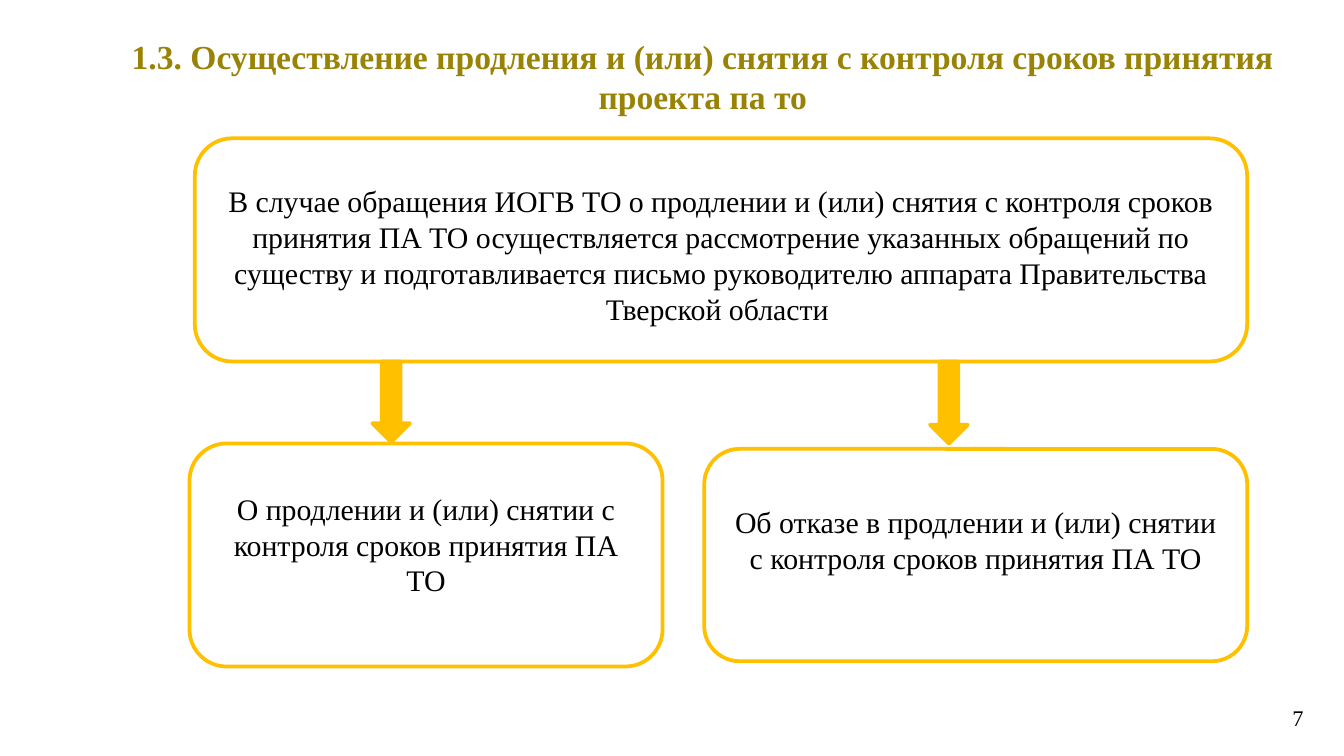
from pptx import Presentation
from pptx.dml.color import RGBColor
from pptx.enum.shapes import MSO_SHAPE
from pptx.enum.text import MSO_ANCHOR, PP_ALIGN
from pptx.util import Inches, Pt

ROUNDED = MSO_SHAPE.ROUNDED_RECTANGLE
DOWN_ARROW = MSO_SHAPE.DOWN_ARROW
CENTER, RIGHT = PP_ALIGN.CENTER, PP_ALIGN.RIGHT
MIDDLE, TOP = MSO_ANCHOR.MIDDLE, MSO_ANCHOR.TOP

COLORS = {"heading": "998307", "body": "000000", "accent": "FFC000"}
FONT = "Times New Roman"
SLIDE_WIDTH = Inches(10)
SLIDE_HEIGHT = SLIDE_WIDTH * 9 // 16
COLUMN, ROW = SLIDE_WIDTH / 100, SLIDE_HEIGHT / 56.25

REQUEST = (
    "В случае обращения ИОГВ ТО о продлении и (или) снятия с контроля сроков "
    "принятия ПА ТО осуществляется рассмотрение указанных обращений по существу "
    "и подготавливается письмо руководителю аппарата Правительства Тверской области "
)
EXTENSION = "О продлении и (или) снятии с контроля сроков принятия ПА ТО"
REFUSAL = "Об отказе в продлении и (или) снятии с контроля сроков принятия ПА ТО"
RIGHT_EDGE = 92.8
REQUEST_LEFT, REQUEST_TOP, BOX_HEIGHT = 14.5, 10.3, 16.6
REQUEST_BOTTOM = REQUEST_TOP + BOX_HEIGHT
REFUSAL_LEFT = 52.4


def place(column, row, columns, rows):
    """Turn a grid area into left, top, width and height."""
    return (round(column * COLUMN), round(row * ROW),
            round(columns * COLUMN), round(rows * ROW))


def write(frame, words, size, color, align=CENTER, anchor=MIDDLE, bold=False,
          lift=0, side=0.7):
    """Fill a text frame; lift raises the middle of the text by that many rows."""
    frame.word_wrap = True
    frame.vertical_anchor = anchor
    frame.margin_left = frame.margin_right = round(side * COLUMN)
    frame.margin_top = Inches(0.04) + round(max(-2 * lift, 0) * ROW)
    frame.margin_bottom = Inches(0.04) + round(max(2 * lift, 0) * ROW)
    frame.text = words
    paragraph = frame.paragraphs[0]
    paragraph.alignment = align
    font = paragraph.runs[0].font
    font.name, font.size, font.bold = FONT, Pt(size), bold
    font.color.rgb = RGBColor.from_string(COLORS[color])


def add_label(slide, area, words, size, color, **style):
    """Add free-standing text."""
    label = slide.shapes.add_textbox(*place(*area))
    write(label.text_frame, words, size, color, **style)


def add_outlined(slide, kind, area):
    """Add a preset shape with the accent outline."""
    outlined = slide.shapes.add_shape(kind, *place(*area))
    outlined.shadow.inherit = False
    outlined.line.color.rgb = RGBColor.from_string(COLORS["accent"])
    outlined.line.width = Pt(2)
    return outlined


def add_step(slide, area, words, lift):
    """Add a hollow rounded box holding one step of the process."""
    step = add_outlined(slide, ROUNDED, area)
    step.fill.background()
    write(step.text_frame, words, 16, "body", lift=lift, side=1)


def add_flow(slide, column, rows):
    """Add a solid arrow leading down from the request box."""
    flow = add_outlined(slide, DOWN_ARROW, (column, REQUEST_BOTTOM, 2.8, rows))
    flow.fill.solid()
    flow.fill.fore_color.rgb = RGBColor.from_string(COLORS["accent"])


def main():
    """Build and save the slide."""
    deck = Presentation()
    deck.slide_width, deck.slide_height = SLIDE_WIDTH, SLIDE_HEIGHT
    slide = deck.slides.add_slide(deck.slide_layouts[6])

    add_label(slide, (9, 2.9, 86.6, 5.5),
              "1.3. Осуществление продления и (или) снятия с контроля сроков "
              "принятия проекта па то", 18, "heading", bold=True)
    add_label(slide, (95.4, 52, 2.3, 3.4), "7", 12, "body", align=RIGHT, anchor=TOP)

    steps = [
        ((REQUEST_LEFT, REQUEST_TOP, RIGHT_EDGE - REQUEST_LEFT, BOX_HEIGHT), REQUEST, -0.35),
        ((14.1, 33, 35.2, BOX_HEIGHT), EXTENSION, 0.8),
        ((REFUSAL_LEFT, 33.4, RIGHT_EDGE - REFUSAL_LEFT, 15.8), REFUSAL, 1.15),
    ]
    for area, words, lift in steps:
        add_step(slide, area, words, lift)
    for column, rows in ((27.7, 6), (69.2, 6.1)):
        add_flow(slide, column, rows)

    deck.save("out.pptx")


main()
